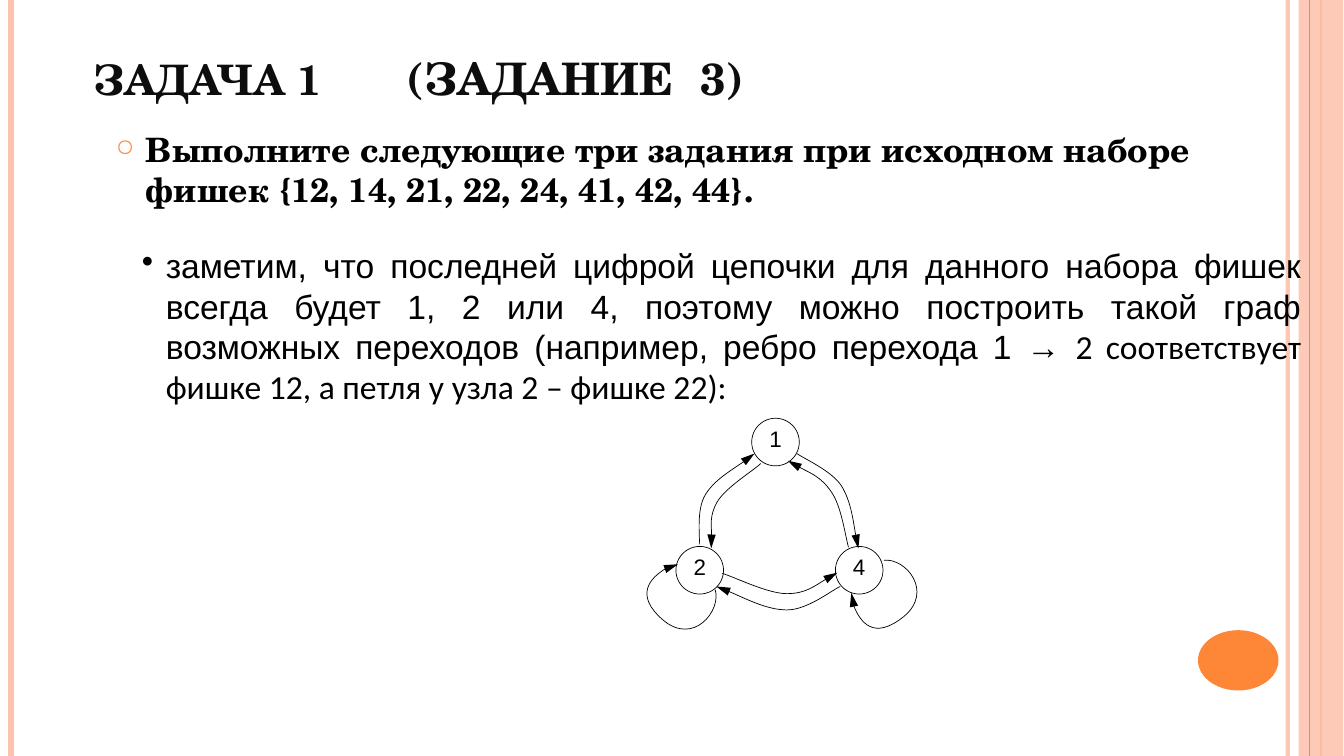
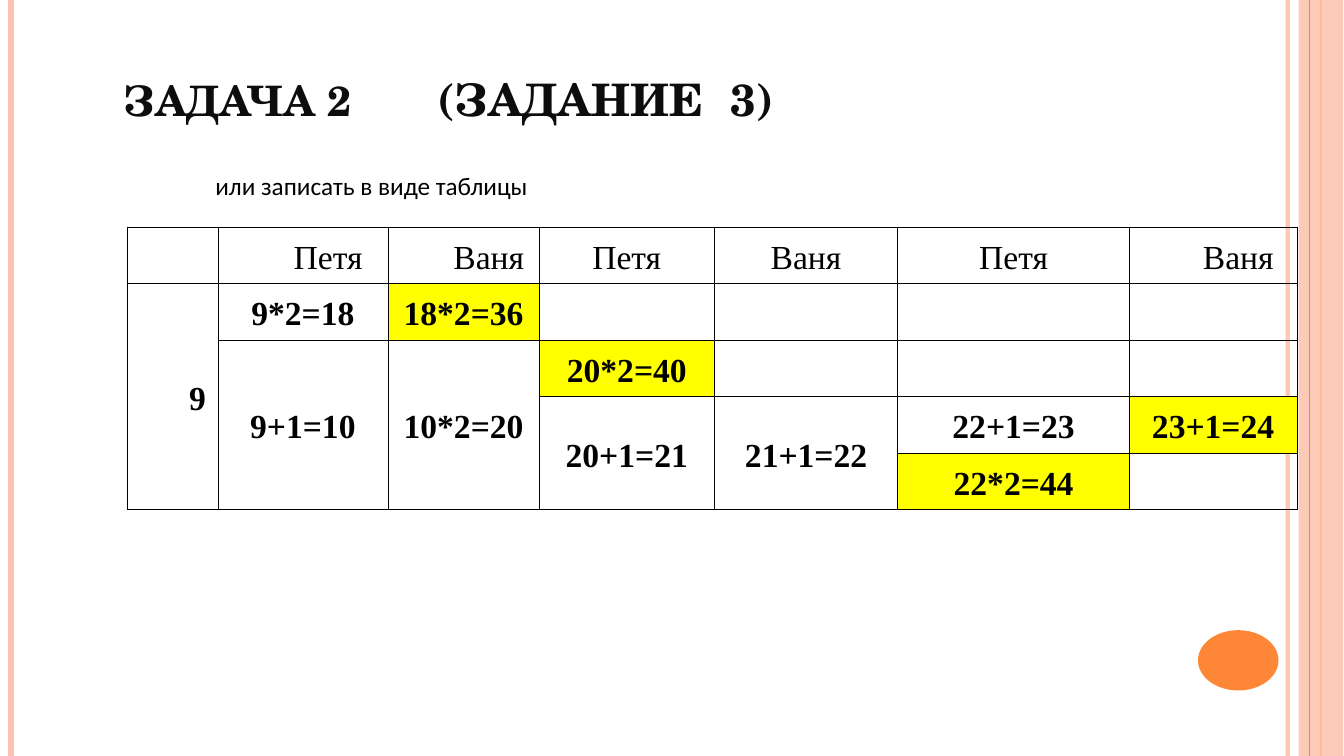
from lxml.etree import SubElement
from pptx import Presentation
from pptx.dml.color import RGBColor
from pptx.enum.shapes import MSO_CONNECTOR, MSO_SHAPE
from pptx.enum.text import MSO_ANCHOR, PP_ALIGN
from pptx.oxml.ns import qn
from pptx.util import Cm, Pt

WIDTH, HEIGHT = 33.88, 19.05
BLACK, WHITE, TITLE_INK = "000000", "FFFFFF", "0D0D0D"
ORANGE, PEACH, YELLOW = "FE8637", "FEC3AE", "FFFF00"
SERIF, SANS, HUMANIST, TABLE_FONT = "TeX Gyre Schola", "Arial", "Calibri", "Times New Roman"
TITLE_TABS = (7.9, 15.3)

NODE_SIZE = 1.2
NODES = {"1": (18.95, 10.54), "2": (17.04, 13.77), "4": (21.06, 13.77)}
# Start point, then two control points and an end point for each Bezier segment
TRANSITIONS = {
    "2-1": [(17.63, 13.72), (17.65, 13.51), (17.55, 12.85), (17.78, 12.47),
            (18.01, 12.09), (18.75, 11.66), (19.02, 11.43)],
    "1-4": [(20.09, 11.43), (20.27, 11.56), (20.96, 11.86), (21.21, 12.24),
            (21.46, 12.65), (21.56, 13.49), (21.64, 13.82)],
    "4-2": [(21.18, 14.78), (20.96, 14.88), (20.35, 15.37), (19.84, 15.37),
            (19.33, 15.37), (18.44, 14.91), (18.06, 14.78)],
    "1-2": [(19.18, 11.68), (18.95, 11.89), (18.29, 12.29), (18.08, 12.65),
            (17.88, 13.0), (17.96, 13.64), (17.93, 13.82)],
    "2-4": [(18.21, 14.45), (18.54, 14.55), (19.35, 14.96), (19.84, 14.96),
            (20.32, 14.96), (20.9, 14.53), (21.11, 14.43)],
    "4-1": [(21.39, 13.79), (21.31, 13.51), (21.21, 12.75), (20.96, 12.4),
            (20.7, 12.01), (20.04, 11.73), (19.86, 11.61)],
    "2-2": [(18.03, 14.86), (18.19, 15.39), (17.48, 16.28), (16.71, 15.62),
            (15.98, 14.99), (16.59, 14.27), (17.09, 14.22)],
    "4-4": [(22.28, 14.12), (22.83, 14.05), (23.55, 14.91), (22.78, 15.54),
            (22.02, 16.15), (21.44, 15.44), (21.46, 14.94)],
}

COLUMN_WIDTHS = (2.29, 4.29, 3.81, 4.42, 4.62, 5.84, 4.22)
ROW_HEIGHT = 1.42
MOVES = [
    ["", "Петя", "Ваня", "Петя", "Ваня", "Петя", "Ваня"],
    ["9", "9*2=18", "18*2=36", "", "", "", ""],
    ["", "9+1=10", "10*2=20", "20*2=40", "", "", ""],
    ["", "", "", "20+1=21", "21+1=22", "22+1=23", "23+1=24"],
    ["", "", "", "", "", "22*2=44", ""],
]
WINNING = {(1, 2), (2, 3), (3, 6), (4, 5)}
INDENTED = {(0, 1), (0, 2), (0, 6), (1, 0)}
MERGED_TO_BOTTOM = [(1, 0), (2, 1), (2, 2), (3, 3), (3, 4)]


def rgb(value):
    return RGBColor.from_string(value)


def set_opacity(shape, percent):
    for color in shape.element.iter(qn("a:srgbClr")):
        SubElement(color, qn("a:alpha"), val=str(percent * 1000))


def style_font(font, size=None, name=None, color=BLACK, bold=False):
    if size:
        font.size = Pt(size)
    if name:
        font.name = name
    font.color.rgb = rgb(color)
    font.bold = bold


def set_indent(paragraph, left, first=0):
    properties = paragraph._p.get_or_add_pPr()
    properties.set("marL", str(Cm(left)))
    properties.set("indent", str(Cm(first)))
    return properties


def set_bullet(paragraph, char, color, hang, percent=100):
    properties = set_indent(paragraph, hang, -hang)
    bullet_color = SubElement(properties, qn("a:buClr"))
    SubElement(bullet_color, qn("a:srgbClr"), val=color)
    SubElement(properties, qn("a:buSzPct"), val=str(percent * 1000))
    SubElement(properties, qn("a:buChar"), char=char)


def set_tabs(paragraph, stops):
    tab_list = SubElement(paragraph._p.get_or_add_pPr(), qn("a:tabLst"))
    for stop in stops:
        SubElement(tab_list, qn("a:tab"), pos=str(Cm(stop)), algn="l")


def add_text_box(slide, left, top, width, height, anchor=MSO_ANCHOR.TOP):
    """Add a wrapping text box and return its first paragraph."""
    frame = slide.shapes.add_textbox(Cm(left), Cm(top), Cm(width), Cm(height)).text_frame
    frame.word_wrap = True
    frame.vertical_anchor = anchor
    return frame.paragraphs[0]


def add_run(paragraph, text, size=None, name=None):
    run = paragraph.add_run()
    run.text = text
    if size:
        run.font.size = Pt(size)
    if name:
        run.font.name = name


def add_filled_shape(slide, preset, left, top, width, height, fill):
    shape = slide.shapes.add_shape(preset, Cm(left), Cm(top), Cm(width), Cm(height))
    shape.shadow.inherit = False
    shape.fill.solid()
    shape.fill.fore_color.rgb = rgb(fill)
    shape.line.fill.background()
    return shape


def set_line(shape, color, width):
    shape.line.color.rgb = rgb(color)
    shape.line.width = Pt(width)


def add_vertical_line(slide, x, color, width):
    line = slide.shapes.add_connector(
        MSO_CONNECTOR.STRAIGHT, Cm(x), Cm(0), Cm(x), Cm(HEIGHT))
    set_line(line, color, width)
    SubElement(line.element.spPr, qn("a:effectLst"))
    return line


def add_decor(slide):
    set_opacity(add_vertical_line(slide, 32.46, PEACH, 3), 93)
    add_vertical_line(slide, 0.28, PEACH, 4.5)
    add_vertical_line(slide, 33.3, ORANGE, 1.5)
    band = add_filled_shape(slide, MSO_SHAPE.RECTANGLE, 32.74, 0, 1.12, HEIGHT, PEACH)
    set_opacity(band, 87)
    add_vertical_line(slide, 33.02, ORANGE, 0.75)
    add_filled_shape(slide, MSO_SHAPE.OVAL, 30.2, 15.88, 2.03, 1.52, ORANGE)


def add_title(slide, task, left, top, width, height):
    title = add_text_box(slide, left, top, width, height, MSO_ANCHOR.BOTTOM)
    set_tabs(title, TITLE_TABS)
    style_font(title.font, name=SERIF, color=TITLE_INK, bold=True)
    add_run(title, f"{task}\t", 30)
    add_run(title, "(ЗАДАНИЕ\t3)", 32)


def add_node(slide, label, left, top):
    node = add_filled_shape(slide, MSO_SHAPE.OVAL, left, top, NODE_SIZE, NODE_SIZE, WHITE)
    set_line(node, BLACK, 0.5)
    frame = node.text_frame
    frame.margin_left = frame.margin_right = frame.margin_top = frame.margin_bottom = 0
    frame.word_wrap = False
    frame.vertical_anchor = MSO_ANCHOR.TOP
    paragraph = frame.paragraphs[0]
    paragraph.alignment = PP_ALIGN.CENTER
    style_font(paragraph.font, 16, SANS)
    add_run(paragraph, label)


def add_curved_arrow(slide, points):
    """Draw a Bezier outline with an arrowhead at its last point."""
    start, *rest = [(Cm(x), Cm(y)) for x, y in points]
    builder = slide.shapes.build_freeform(*start)
    builder.add_line_segments(rest, close=False)
    arrow = builder.convert_to_shape()
    arrow.shadow.inherit = False
    arrow.fill.background()
    set_line(arrow, BLACK, 0.5)
    SubElement(arrow.line._get_or_add_ln(), qn("a:tailEnd"),
               type="triangle", w="med", len="lg")

    outline = next(arrow.element.iter(qn("a:path")))
    segments = outline.findall(qn("a:lnTo"))
    for first in range(0, len(segments), 3):
        curve = SubElement(outline, qn("a:cubicBezTo"))
        for segment in segments[first:first + 3]:
            curve.append(segment[0])
            outline.remove(segment)


def set_borders(cell):
    properties = cell._tc.get_or_add_tcPr()
    for side in ("lnL", "lnR", "lnT", "lnB"):
        border = SubElement(properties, qn(f"a:{side}"), w=str(Pt(0.45)))
        fill = SubElement(border, qn("a:solidFill"))
        SubElement(fill, qn("a:srgbClr"), val=BLACK)


def fill_cell(cell, text, bold, indented, winning):
    set_borders(cell)
    if winning:
        cell.fill.solid()
        cell.fill.fore_color.rgb = rgb(YELLOW)
    else:
        cell.fill.background()
    cell.margin_left = cell.margin_right = Cm(0.2)
    cell.vertical_anchor = MSO_ANCHOR.MIDDLE
    if text:
        paragraph = cell.text_frame.paragraphs[0]
        paragraph.alignment = PP_ALIGN.CENTER
        paragraph.line_spacing = 1.15
        if indented:
            set_indent(paragraph, 1.27)
        style_font(paragraph.font, 24, TABLE_FONT, bold=bold)
        add_run(paragraph, text)


def add_moves_table(slide, left, top):
    table = slide.shapes.add_table(
        len(MOVES), len(COLUMN_WIDTHS), Cm(left), Cm(top),
        Cm(sum(COLUMN_WIDTHS)), Cm(ROW_HEIGHT * len(MOVES))).table
    table.first_row = table.horz_banding = False
    for column, width in zip(table.columns, COLUMN_WIDTHS):
        column.width = Cm(width)
    for r, moves in enumerate(MOVES):
        table.rows[r].height = Cm(ROW_HEIGHT)
        for c, move in enumerate(moves):
            fill_cell(table.cell(r, c), move, r > 0, (r, c) in INDENTED, (r, c) in WINNING)
    for r, c in MERGED_TO_BOTTOM:
        table.cell(r, c).merge(table.cell(len(MOVES) - 1, c))


def build_graph_slide(slide):
    add_title(slide, "ЗАДАЧА 1", 2.11, -0.43, 27.66, 3.18)

    task = add_text_box(slide, 2.67, 3.12, 30.18, 2.72)
    set_bullet(task, "○", ORANGE, 0.76, 70)
    style_font(task.font, 24, SERIF, bold=True)
    add_run(task, "Выполните следующие три задания при исходном наборе фишек "
                  "{12, 14, 21, 22, 24, 41, 42, 44}.")

    remark = add_text_box(slide, 3.33, 6.05, 29.72, 4.32, MSO_ANCHOR.MIDDLE)
    remark.alignment = PP_ALIGN.JUSTIFY
    set_bullet(remark, "•", BLACK, 0.6)
    style_font(remark.font, 24)
    add_run(remark, "заметим, что последней цифрой цепочки для данного набора фишек "
                    "всегда будет 1, 2 или 4, поэтому можно построить такой граф "
                    "возможных переходов (например, ребро перехода 1 → ", name=SANS)
    add_run(remark, "2 соответствует фишке 12, а петля у узла 2 – фишке 22):", name=HUMANIST)

    for label, position in NODES.items():
        add_node(slide, label, *position)
    for points in TRANSITIONS.values():
        add_curved_arrow(slide, points)


def build_table_slide(slide):
    add_title(slide, "ЗАДАЧА 2", 2.87, -0.84, 28.27, 4.14)

    caption = add_text_box(slide, 3.4, 4.06, 12, 1.14)
    set_indent(caption, 1.78)
    caption.line_spacing = 1.15
    style_font(caption.font, 18, HUMANIST)
    add_run(caption, "или записать в виде таблицы")

    add_moves_table(slide, 3.2, 5.72)


def main():
    deck = Presentation()
    deck.slide_width, deck.slide_height = Cm(WIDTH), Cm(HEIGHT)
    for build in (build_graph_slide, build_table_slide):
        slide = deck.slides.add_slide(deck.slide_layouts[6])
        add_decor(slide)
        build(slide)
    deck.save("out.pptx")


if __name__ == "__main__":
    main()
